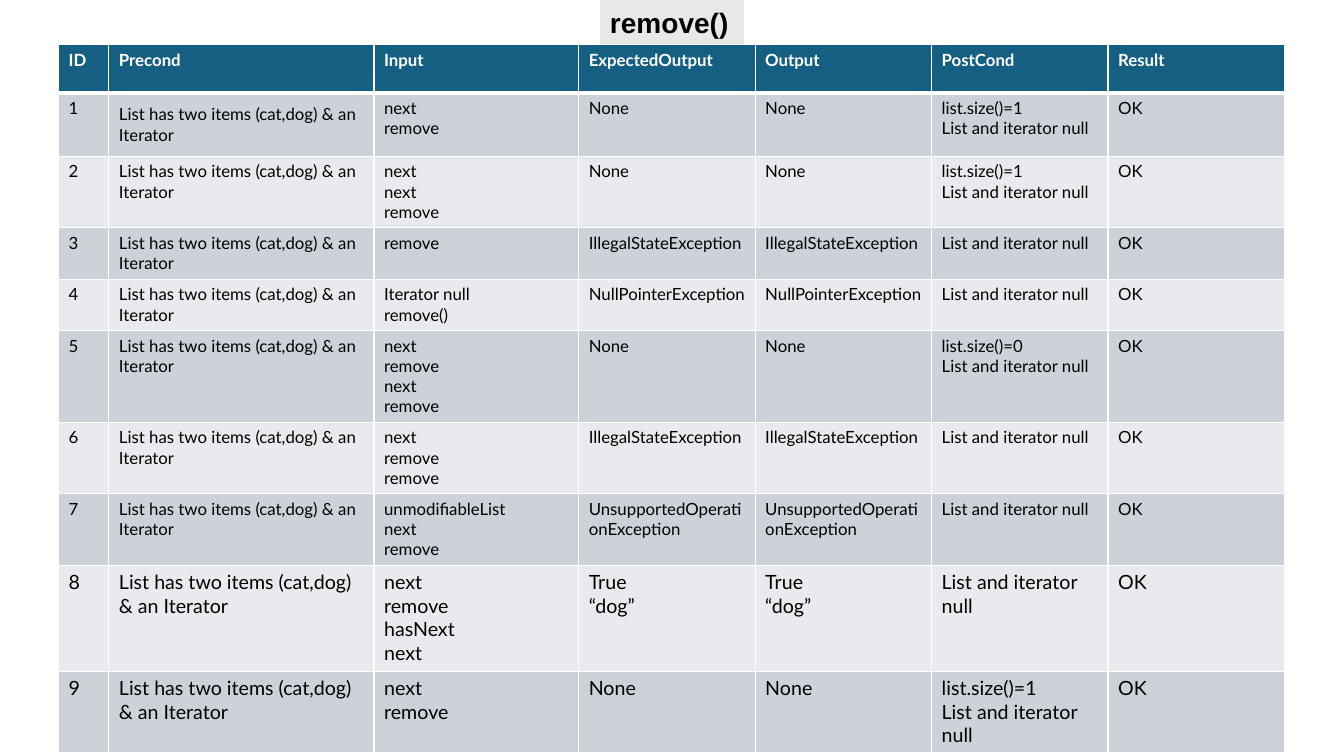
from dataclasses import dataclass

from pptx import Presentation
from pptx.dml.color import RGBColor
from pptx.enum.text import MSO_ANCHOR as Anchor, MSO_AUTO_SIZE as AutoSize, PP_ALIGN as Align
from pptx.oxml import parse_xml
from pptx.oxml.ns import nsdecls
from pptx.table import Table, _Cell as Cell
from pptx.text.text import TextFrame
from pptx.util import Emu, Pt

HEADER_FILL, ODD_FILL, EVEN_FILL = "156082", "CCD2D8", "E8EAED"
WHITE, BLACK, TITLE_FILL = "FFFFFF", "000000", "E8E8E8"

HEADERS = ("ID", "Precond", "Input", "ExpectedOutput", "Output", "PostCond", "Result")
COL_WIDTHS = (50, 263, 203, 175, 175, 175, 175)
HEADER_HEIGHT = 48
PRECOND = "List has two items (cat,dog) & an Iterator"
NULL_POST = "List and iterator null"
SIZE_1_POST = f"list.size()=1 \n{NULL_POST}"


@dataclass(frozen=True)
class TestCase:
    """One table row; the expected and the actual output are the same."""
    steps: str
    output: str
    postcond: str
    height: int
    size: int = 12
    precond_anchor: Anchor = Anchor.TOP


CASES = (
    TestCase("next\nremove", "None", SIZE_1_POST, 63, precond_anchor=Anchor.MIDDLE),
    TestCase("next\nnext\nremove", "None", SIZE_1_POST, 71),
    TestCase("remove", "IllegalStateException", NULL_POST, 51),
    TestCase("Iterator null\nremove()", "NullPointerException", NULL_POST, 51),
    TestCase("next\nremove\nnext\nremove", "None", f"list.size()=0\n{NULL_POST}", 91),
    TestCase("next\nremove\nremove", "IllegalStateException", NULL_POST, 71),
    TestCase("unmodifiableList\nnext\nremove", "UnsupportedOperationException", NULL_POST, 71),
    TestCase("next\nremove\nhasNext\nnext", "True\n“dog”", NULL_POST, 105, size=14),
    TestCase("next\nremove", "None", SIZE_1_POST, 81, size=14),
)


def px(n: int) -> Emu:
    """Lengths are given at 100 px to the inch."""
    return Emu(n * 9144)


def rgb(color: str) -> RGBColor:
    return RGBColor.from_string(color)


def write(tf: TextFrame, text: str, font: str, size: int, color: str, bold: bool) -> None:
    """Fill the first paragraph; newlines become line breaks."""
    p = tf.paragraphs[0]
    p.text = text
    p.alignment = Align.LEFT
    for r in p.runs:
        r.font.name = font
        r.font.size = Pt(size)
        r.font.bold = bold
        r.font.color.rgb = rgb(color)


def set_borders(cell: Cell, top: int, bottom: int) -> None:
    """Draw white borders, with the top and bottom widths in points."""
    tc_pr = cell._tc.get_or_add_tcPr()
    widths = {"lnL": 1, "lnR": 1, "lnT": top, "lnB": bottom}
    for i, (tag, width) in enumerate(widths.items()):
        tc_pr.insert(i, parse_xml(
            f'<a:{tag} {nsdecls("a")} w="{Pt(width)}"><a:solidFill>'
            f'<a:srgbClr val="{WHITE}"/></a:solidFill></a:{tag}>'))


def fill_row(table: Table, row: int, texts: tuple[str, ...], height: int, size: int) -> None:
    is_header = row == 0
    fill = HEADER_FILL if is_header else ODD_FILL if row % 2 else EVEN_FILL
    table.rows[row].height = px(height)
    for cell, text in zip(table.rows[row].cells, texts):
        cell.fill.solid()
        cell.fill.fore_color.rgb = rgb(fill)
        write(cell.text_frame, text, "Lato", size, WHITE if is_header else BLACK, is_header)
        set_borders(cell, top=3 if row == 1 else 1, bottom=3 if is_header else 1)


def main() -> None:
    prs = Presentation()
    prs.slide_width, prs.slide_height = px(1333), px(750)
    s = prs.slides.add_slide(prs.slide_layouts[5])

    title = s.shapes.title
    title.left, title.top, title.width, title.height = px(595), px(0), px(143), px(44)
    title.fill.solid()
    title.fill.fore_color.rgb = rgb(TITLE_FILL)
    tf = title.text_frame
    tf.word_wrap = True
    tf.auto_size = AutoSize.SHAPE_TO_FIT_TEXT
    tf.vertical_anchor = Anchor.TOP
    write(tf, "remove()", "Arial", 20, BLACK, True)

    total_height = HEADER_HEIGHT + sum(case.height for case in CASES)
    table = s.shapes.add_table(len(CASES) + 1, len(HEADERS), px(58), px(44),
                               px(sum(COL_WIDTHS)), px(total_height)).table
    for column, width in zip(table.columns, COL_WIDTHS):
        column.width = px(width)

    fill_row(table, 0, HEADERS, HEADER_HEIGHT, 12)
    for i, case in enumerate(CASES, start=1):
        texts = (str(i), PRECOND, case.steps, case.output, case.output, case.postcond, "OK")
        fill_row(table, i, texts, case.height, case.size)
        table.cell(i, 1).vertical_anchor = case.precond_anchor

    prs.save("out.pptx")


if __name__ == "__main__":
    main()
